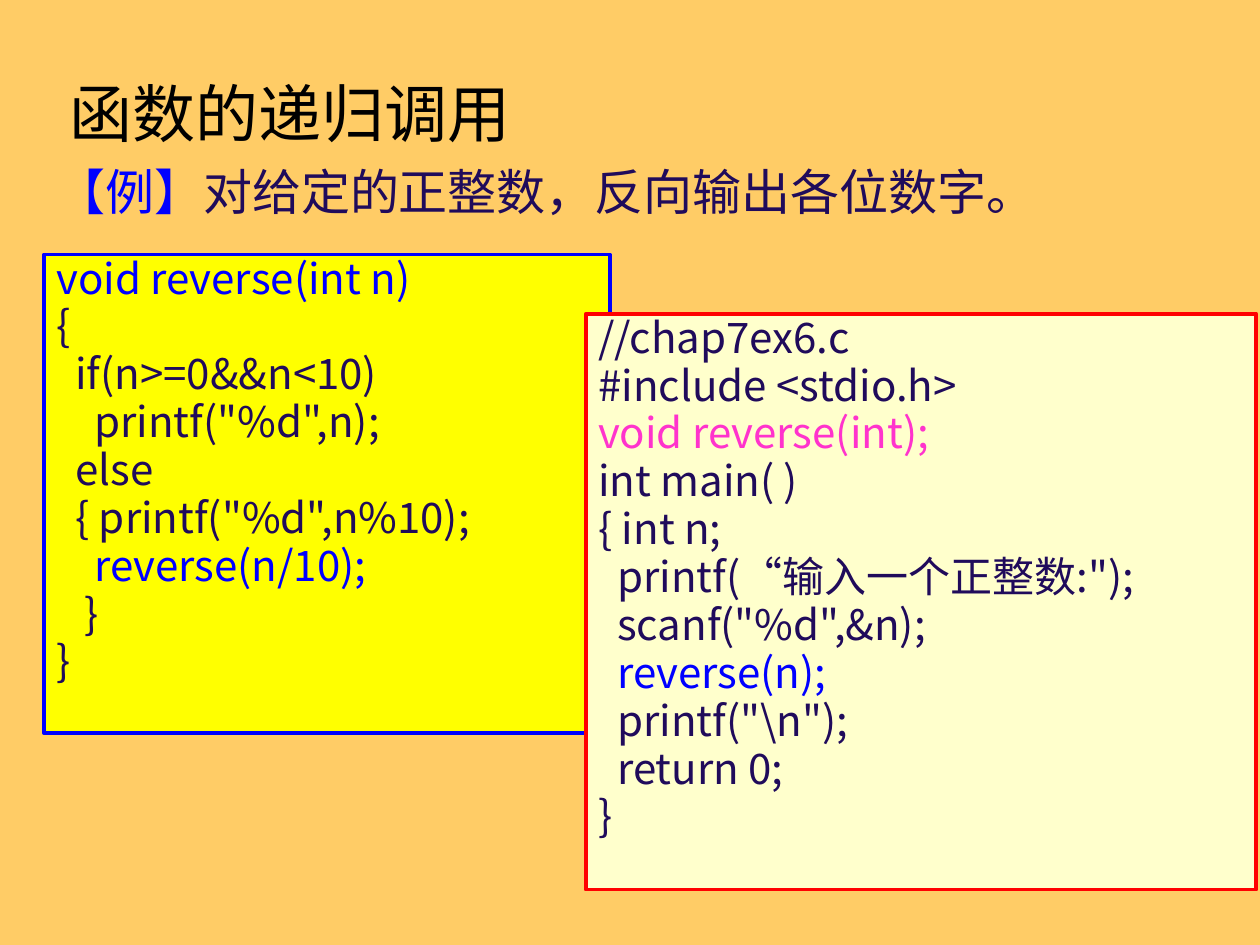
from dataclasses import dataclass

from lxml.etree import Element
from pptx import Presentation
from pptx.dml.color import RGBColor
from pptx.enum.shapes import MSO_SHAPE
from pptx.enum.text import MSO_ANCHOR, PP_ALIGN
from pptx.oxml.ns import qn
from pptx.util import Inches, Pt


@dataclass(frozen=True)
class Theme:
    """Colours, fonts and type sizes of the slide."""
    background: str = "FFCC66"
    title: str = "000000"
    ink: str = "200B5B"
    blue: str = "0000FF"
    pink: str = "FF33CC"
    red: str = "FF0000"
    yellow: str = "FFFF00"
    cream: str = "FFFFCC"
    sans: str = "Noto Sans CJK SC"
    serif: str = "Times New Roman"
    title_size: int = 36
    example_size: int = 28
    code_size: int = 24
    code_spacing: float = 0.95
    space_width: float = 0.075


THEME = Theme()

REVERSE_FUNCTION = [
    (0, [("void reverse(int n)", THEME.blue)]),
    (0, [("{", THEME.ink)]),
    (2, [("if(n>=0&&n<10)", THEME.ink)]),
    (4, [('printf("%d",n);', THEME.ink)]),
    (2, [("else", THEME.ink)]),
    (2, [('{ printf("%d",n%10);', THEME.ink)]),
    (4, [("reverse(n/10);", THEME.blue)]),
    (3, [("}", THEME.ink)]),
    (0, [("}", THEME.ink)]),
]

MAIN_PROGRAM = [
    (0, [("//chap7ex6.c", THEME.ink)]),
    (0, [("#include <stdio.h>", THEME.ink)]),
    (0, [("void reverse(int);", THEME.pink)]),
    (0, [("int main( )", THEME.ink)]),
    (0, [("{ int n;", THEME.ink)]),
    (2, [("printf(", THEME.ink), ("“", THEME.ink, THEME.serif),
         ('输入一个正整数:");', THEME.ink)]),
    (2, [('scanf("%d",&n);', THEME.ink)]),
    (2, [("reverse(n);", THEME.blue)]),
    (2, [(r'printf("\n");', THEME.ink)]),
    (2, [("return 0;", THEME.ink)]),
    (0, [("}", THEME.ink)]),
]


def set_font(font, color, face, size=None):
    """Set the colour, typeface and, if given, size of a font."""
    font.color.rgb = RGBColor.from_string(color)
    font.name = face
    if size:
        font.size = Pt(size)


def write_line(paragraph, parts, size):
    """Write (text, colour, optional face) parts into a paragraph."""
    styles = [(color, face[0] if face else THEME.sans) for _, color, *face in parts]
    uniform = len(set(styles)) == 1
    paragraph.font.size = Pt(size)
    if uniform:
        set_font(paragraph.font, *styles[0])
    for (text, *_), style in zip(parts, styles):
        run = paragraph.add_run()
        run.text = text
        if not uniform:
            set_font(run.font, *style)
    for latin in list(paragraph._p.iter(qn("a:latin"))):
        latin.addnext(Element(qn("a:ea"), typeface=THEME.sans))


def add_heading(slide, box, parts, size, anchor):
    """Place one line of heading text in the box."""
    frame = slide.shapes.add_textbox(*map(Inches, box)).text_frame
    frame.word_wrap = True
    frame.vertical_anchor = anchor
    write_line(frame.paragraphs[0], parts, size)


def add_code_panel(slide, box, lines, fill, border):
    """Place a bordered code listing in the box, indenting by columns."""
    panel = slide.shapes.add_shape(MSO_SHAPE.RECTANGLE, *map(Inches, box))
    panel.shadow.inherit = False
    panel.fill.solid()
    panel.fill.fore_color.rgb = RGBColor.from_string(fill)
    panel.line.color.rgb = RGBColor.from_string(border)
    panel.line.width = Pt(2.25)
    frame = panel.text_frame
    frame.word_wrap = True
    frame.vertical_anchor = MSO_ANCHOR.TOP
    frame.margin_top = Inches(0.01)
    for number, (columns, parts) in enumerate(lines):
        paragraph = frame.add_paragraph() if number else frame.paragraphs[0]
        paragraph.alignment = PP_ALIGN.LEFT
        paragraph.line_spacing = THEME.code_spacing
        indent = Inches(columns * THEME.space_width)
        paragraph._p.get_or_add_pPr().set("marL", str(indent))
        write_line(paragraph, parts, THEME.code_size)


def build_recursion_slide(presentation):
    """Add the slide on recursive function calls."""
    slide = presentation.slides.add_slide(presentation.slide_layouts[6])
    slide.background.fill.solid()
    slide.background.fill.fore_color.rgb = RGBColor.from_string(THEME.background)
    add_heading(slide, (0.45, 0.53, 9, 0.72), [("函数的递归调用", THEME.title)],
                THEME.title_size, MSO_ANCHOR.MIDDLE)
    add_heading(slide, (0.35, 1.23, 9.21, 0.55),
                [("【例】", THEME.blue),
                 ("对给定的正整数，反向输出各位数字。", THEME.ink, THEME.serif)],
                THEME.example_size, MSO_ANCHOR.TOP)
    add_code_panel(slide, (0.35, 2.02, 4.49, 3.8), REVERSE_FUNCTION,
                   THEME.yellow, THEME.blue)
    add_code_panel(slide, (4.65, 2.49, 5.32, 4.57), MAIN_PROGRAM,
                   THEME.cream, THEME.red)


def main():
    """Build and save the presentation."""
    presentation = Presentation()
    presentation.slide_width = Inches(10)
    presentation.slide_height = Inches(7.5)
    build_recursion_slide(presentation)
    presentation.save("out.pptx")


if __name__ == "__main__":
    main()
